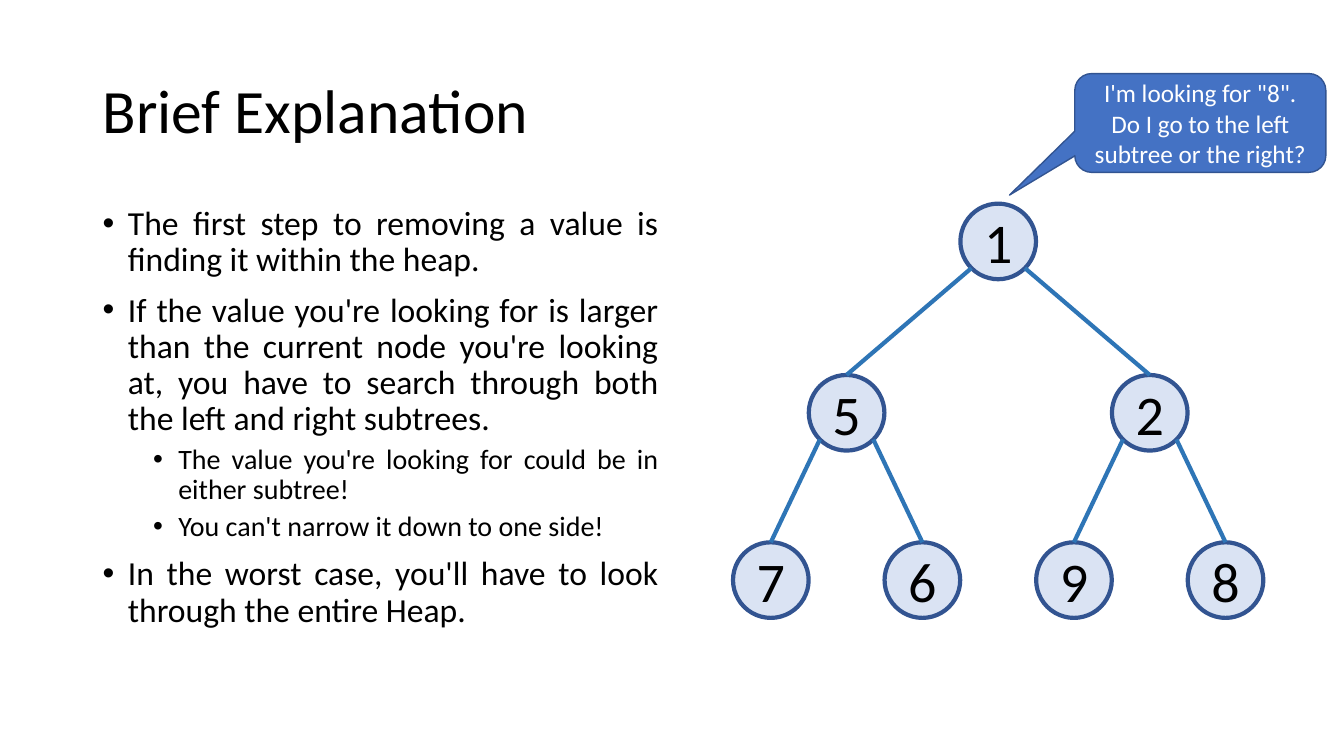
from dataclasses import dataclass

from lxml import etree
from pptx import Presentation
from pptx.dml.color import RGBColor
from pptx.enum.shapes import MSO_CONNECTOR, MSO_SHAPE
from pptx.enum.text import MSO_ANCHOR, MSO_AUTO_SIZE, PP_ALIGN
from pptx.oxml.ns import qn
from pptx.util import Pt

LEFT, CENTER, JUSTIFY = PP_ALIGN.LEFT, PP_ALIGN.CENTER, PP_ALIGN.JUSTIFY
TOP, MIDDLE = MSO_ANCHOR.TOP, MSO_ANCHOR.MIDDLE
NO_AUTOFIT = MSO_AUTO_SIZE.NONE
ELLIPSE, CALLOUT = MSO_SHAPE.OVAL, MSO_SHAPE.ROUNDED_RECTANGULAR_CALLOUT
STRAIGHT = MSO_CONNECTOR.STRAIGHT

EMU_PER_PX = 9144  # 100 px to the inch
TITLE_ONLY = 5


@dataclass(frozen=True)
class Theme:
    font: str = "Calibri"
    text: str = "000000"
    light_text: str = "FFFFFF"
    node_fill: str = "DAE3F3"
    outline: str = "325491"
    edge: str = "2E75B6"
    callout_fill: str = "4472C4"
    title_size: int = 44
    node_size: int = 40
    bullet_sizes: tuple = (24, 20)
    callout_size: int = 18
    tree_line: int = 3
    callout_line: int = 1


THEME = Theme()

TITLE = "Brief Explanation"
BULLETS = [
    (0, "The first step to removing a value is finding it within the heap."),
    (0, "If the value you're looking for is larger than the current node you're "
        "looking at, you have to search through both the left and right subtrees."),
    (1, "The value you're looking for could be in either subtree!"),
    (1, "You can't narrow it down to one side!"),
    (0, "In the worst case, you'll have to look through the entire Heap."),
]
HEAP_LEVELS = [[1], [5, 2], [7, 6, 9, 8]]
LEVEL_TOPS = [0, 170, 336]
NODE_DIAMETER = 75
QUESTION = ['I\'m looking for "8".', "Do I go to the left subtree or the right?"]


def px(*lengths):
    return [round(length * EMU_PER_PX) for length in lengths]


def apply(target, values):
    for name, value in values.items():
        setattr(target, name, value)


def write(paragraph, text, size, color, **paragraph_format):
    apply(paragraph, paragraph_format)
    run = paragraph.add_run()
    run.text = text
    apply(run.font, {"name": THEME.font, "size": Pt(size)})
    run.font.color.rgb = RGBColor.from_string(color)


def write_lines(frame, lines, size, color, **paragraph_format):
    for index, line in enumerate(lines):
        paragraph = frame.add_paragraph() if index else frame.paragraphs[0]
        write(paragraph, line, size, color, **paragraph_format)


def set_bullet(paragraph, margin, hanging):
    properties = paragraph._p.get_or_add_pPr()
    properties.set("marL", str(margin * EMU_PER_PX))
    properties.set("indent", str(-hanging * EMU_PER_PX))
    font = etree.SubElement(properties, qn("a:buFont"))
    font.set("typeface", "Arial")
    etree.SubElement(properties, qn("a:buChar")).set("char", "•")


def add_filled_shape(shapes, kind, box, fill, line_width):
    shape = shapes.add_shape(kind, *px(*box))
    shape.shadow.inherit = False
    shape.fill.solid()
    shape.fill.fore_color.rgb = RGBColor.from_string(fill)
    shape.line.color.rgb = RGBColor.from_string(THEME.outline)
    shape.line.width = Pt(line_width)
    apply(shape.text_frame, {"word_wrap": True, "vertical_anchor": MIDDLE})
    return shape


def place_title(slide, box):
    title = slide.shapes.title
    apply(title, dict(zip(("left", "top", "width", "height"), px(*box))))
    frame = title.text_frame
    apply(frame, {"word_wrap": True, "auto_size": NO_AUTOFIT, "vertical_anchor": MIDDLE})
    write_lines(frame, [TITLE], THEME.title_size, THEME.text,
                alignment=LEFT, line_spacing=0.9)


def add_bullets(slide, box):
    frame = slide.shapes.add_textbox(*px(*box)).text_frame
    apply(frame, {"word_wrap": True, "auto_size": NO_AUTOFIT, "vertical_anchor": TOP})
    for index, (level, text) in enumerate(BULLETS):
        paragraph = frame.add_paragraph() if index else frame.paragraphs[0]
        set_bullet(paragraph, margin=25 + 50 * level, hanging=25)
        space_before = Pt((10, 5)[level]) if index else Pt(0)
        write(paragraph, text, THEME.bullet_sizes[level], THEME.text, level=level,
              alignment=JUSTIFY, line_spacing=0.9, space_before=space_before)


def add_edge(shapes, start, end):
    edge = shapes.add_connector(STRAIGHT, *px(*start, *end))
    edge.line.color.rgb = RGBColor.from_string(THEME.edge)
    edge.line.width = Pt(THEME.tree_line)
    etree.SubElement(edge._element.spPr, qn("a:effectLst"))


def add_heap(slide, left, top, width):
    """Centre each parent above its leaves, then join it to its two children."""
    shapes = slide.shapes.add_group_shape().shapes
    radius = NODE_DIAMETER / 2
    leaf_count = len(HEAP_LEVELS[-1])
    leaf_step = (width - NODE_DIAMETER) / (leaf_count - 1)
    centers = []
    for level_top, values in zip(LEVEL_TOPS, HEAP_LEVELS):
        leaves_below = leaf_count / len(values)
        for index, value in enumerate(values):
            slot = (index + 0.5) * leaves_below - 0.5
            x, y = left + radius + slot * leaf_step, top + level_top + radius
            centers.append((x, y))
            box = (x - radius, y - radius, NODE_DIAMETER, NODE_DIAMETER)
            node = add_filled_shape(shapes, ELLIPSE, box, THEME.node_fill, THEME.tree_line)
            write_lines(node.text_frame, [str(value)], THEME.node_size, THEME.text,
                        alignment=CENTER)
    diagonal = radius * 0.5 ** 0.5
    for child in range(1, len(centers)):
        parent_x, parent_y = centers[(child - 1) // 2]
        child_x, child_y = centers[child]
        side = -1 if child % 2 else 1
        add_edge(shapes, (parent_x + side * diagonal, parent_y + diagonal),
                 (child_x, child_y - radius))


def add_question(slide, box):
    callout = add_filled_shape(slide.shapes, CALLOUT, box,
                               THEME.callout_fill, THEME.callout_line)
    for index, value in enumerate((-0.76, 0.73, 0.17)):
        callout.adjustments[index] = value
    write_lines(callout.text_frame, QUESTION, THEME.callout_size, THEME.light_text,
                alignment=CENTER)


def build_explanation_slide(presentation):
    slide = presentation.slides.add_slide(presentation.slide_layouts[TITLE_ONLY])
    place_title(slide, (92, 40, 1150, 145))
    add_heap(slide, left=727, top=202, width=526)
    add_bullets(slide, (92, 200, 571, 476))
    add_question(slide, (1066, 73, 249, 98))


def main():
    presentation = Presentation()
    presentation.slide_width, presentation.slide_height = px(1333, 750)
    build_explanation_slide(presentation)
    presentation.save("out.pptx")


if __name__ == "__main__":
    main()
